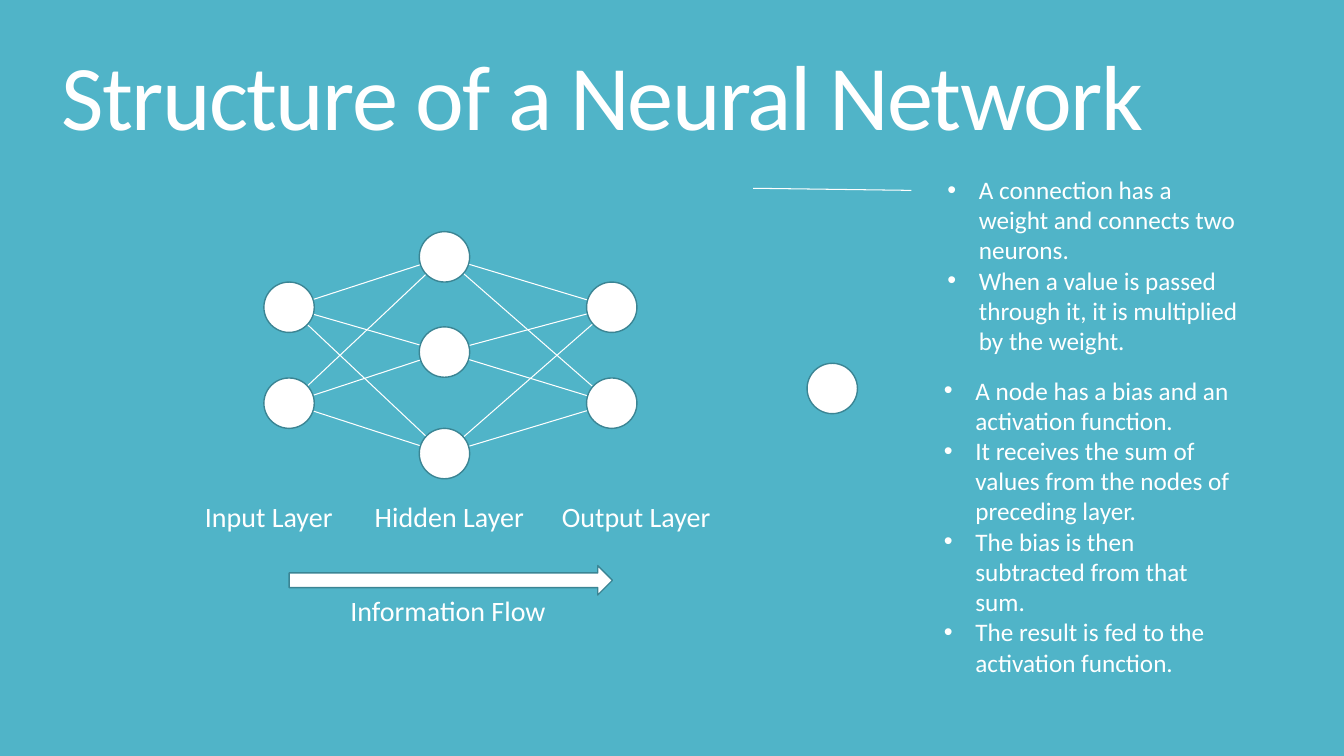
from itertools import pairwise, product

from pptx import Presentation
from pptx.dml.color import RGBColor
from pptx.enum.shapes import MSO_CONNECTOR as Connector, MSO_SHAPE as Shape
from pptx.enum.text import MSO_ANCHOR as Anchor, MSO_AUTO_SIZE as AutoSize, PP_ALIGN as Align
from pptx.oxml.ns import qn
from pptx.util import Pt
from lxml.etree import SubElement


def colour(hex_code):
    return RGBColor.from_string(hex_code)


class NetworkSlide:
    font = "Calibri"
    white = "FFFFFF"
    teal = "50B4C8"
    outline = "3B8594"
    node_size = 36

    def __init__(self, slide):
        self.slide = slide
        self.shapes = slide.shapes
        fill = slide.background.fill
        fill.solid()
        fill.fore_color.rgb = colour(self.teal)

    def place(self, shape, left, top, width, height):
        shape.left, shape.top = Pt(left), Pt(top)
        shape.width, shape.height = Pt(width), Pt(height)

    def style(self, paragraph, size, align):
        paragraph.alignment = align
        paragraph.space_before = Pt(0)
        paragraph.font.name = self.font
        paragraph.font.size = Pt(size)
        paragraph.font.color.rgb = colour(self.white)

    def title(self, text, left, top, width, height):
        heading = self.shapes.title
        self.place(heading, left, top, width, height)
        frame = heading.text_frame
        frame.text = text
        frame.auto_size = AutoSize.NONE
        frame.vertical_anchor = Anchor.BOTTOM
        paragraph = frame.paragraphs[0]
        self.style(paragraph, 66, Align.CENTER)
        paragraph.line_spacing = 0.8
        paragraph.runs[0]._r.get_or_add_rPr().set("spc", "-120")

    def bullets(self, index, items, left, top, width, height):
        body = self.slide.placeholders[index]
        self.place(body, left, top, width, height)
        frame = body.text_frame
        frame.text = "\n".join(items)
        frame.auto_size = AutoSize.NONE
        frame.vertical_anchor = Anchor.MIDDLE
        for paragraph in frame.paragraphs:
            self.style(paragraph, 18, Align.LEFT)
            properties = paragraph._p.get_or_add_pPr()
            properties.set("marL", str(Pt(22.5)))
            properties.set("indent", str(-Pt(22.5)))

    def label(self, text, x, y, width):
        height = 32
        box = self.shapes.add_textbox(Pt(x - width / 2), Pt(y - height / 2), Pt(width), Pt(height))
        frame = box.text_frame
        frame.text = text
        frame.word_wrap = True
        frame.margin_left = frame.margin_right = Pt(0)
        frame.vertical_anchor = Anchor.MIDDLE
        self.style(frame.paragraphs[0], 20, Align.CENTER)

    def shape(self, kind, left, top, width, height):
        figure = self.shapes.add_shape(kind, Pt(left), Pt(top), Pt(width), Pt(height))
        figure.shadow.inherit = False
        figure.fill.solid()
        figure.fill.fore_color.rgb = colour(self.white)
        figure.line.color.rgb = colour(self.outline)
        figure.line.width = Pt(1)

    def node(self, x, y):
        size = self.node_size
        self.shape(Shape.FLOWCHART_CONNECTOR, x - size / 2, y - size / 2, size, size)

    def connection(self, start, end):
        line = self.shapes.add_connector(Connector.STRAIGHT, *map(Pt, start + end))
        line.line.color.rgb = colour(self.white)
        line.line.width = Pt(0.75)
        SubElement(line._element.spPr, qn("a:effectLst"))


def main():
    deck = Presentation()
    deck.slide_width, deck.slide_height = Pt(960), Pt(540)
    page = NetworkSlide(deck.slides.add_slide(deck.slide_layouts[3]))

    page.title("Structure of a Neural Network", 6, -35, 849, 144.5)

    input_layer = [(206.5, 219.5), (206.5, 288)]
    hidden_layer = [(317.5, 183.5), (317.5, 251.5), (317.5, 324)]
    output_layer = [(437, 219.5), (437, 288)]
    layers = [input_layer, hidden_layer, output_layer]

    for before, after in pairwise(layers):
        for start, end in product(before, after):
            page.connection(start, end)
    for layer in layers:
        for x, y in layer:
            page.node(x, y)

    for name, x in [("Input Layer", 192), ("Hidden Layer", 321), ("Output Layer", 454.5)]:
        page.label(name, x, 369, 124)
    page.shape(Shape.RIGHT_ARROW, 206.5, 404, 231, 21)
    page.label("Information Flow", 320, 436, 200)

    page.connection((538, 134.5), (651, 136))
    page.bullets(1, [
        "A connection has a weight and connects two neurons.",
        "When a value is passed through it, it is multiplied by the weight.",
    ], 669.5, 120, 226, 138.5)

    page.node(594.5, 277.5)
    page.bullets(2, [
        "A node has a bias and an activation function.",
        "It receives the sum of values from the nodes of preceding layer.",
        "The bias is then subtracted from that sum.",
        "The result is fed to the activation function.",
    ], 667, 263, 220.5, 225.5)

    deck.save("out.pptx")


if __name__ == "__main__":
    main()
